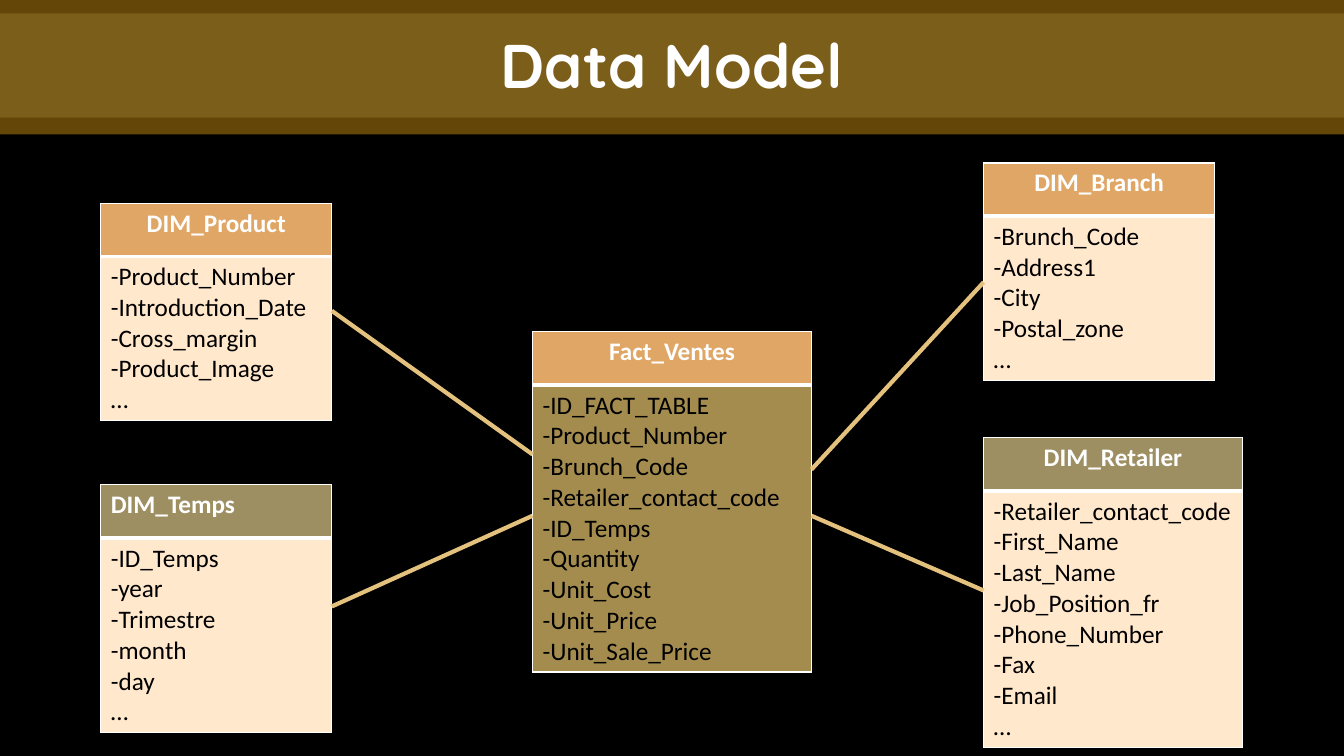
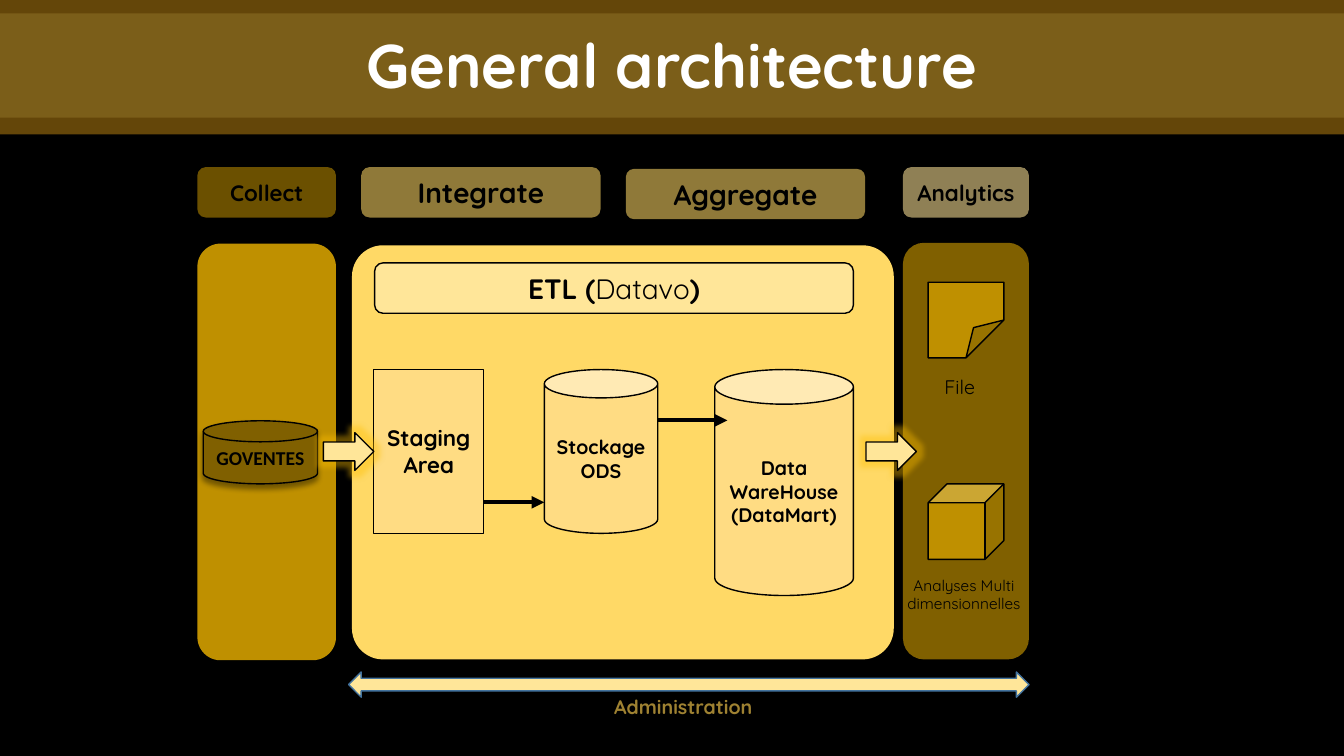
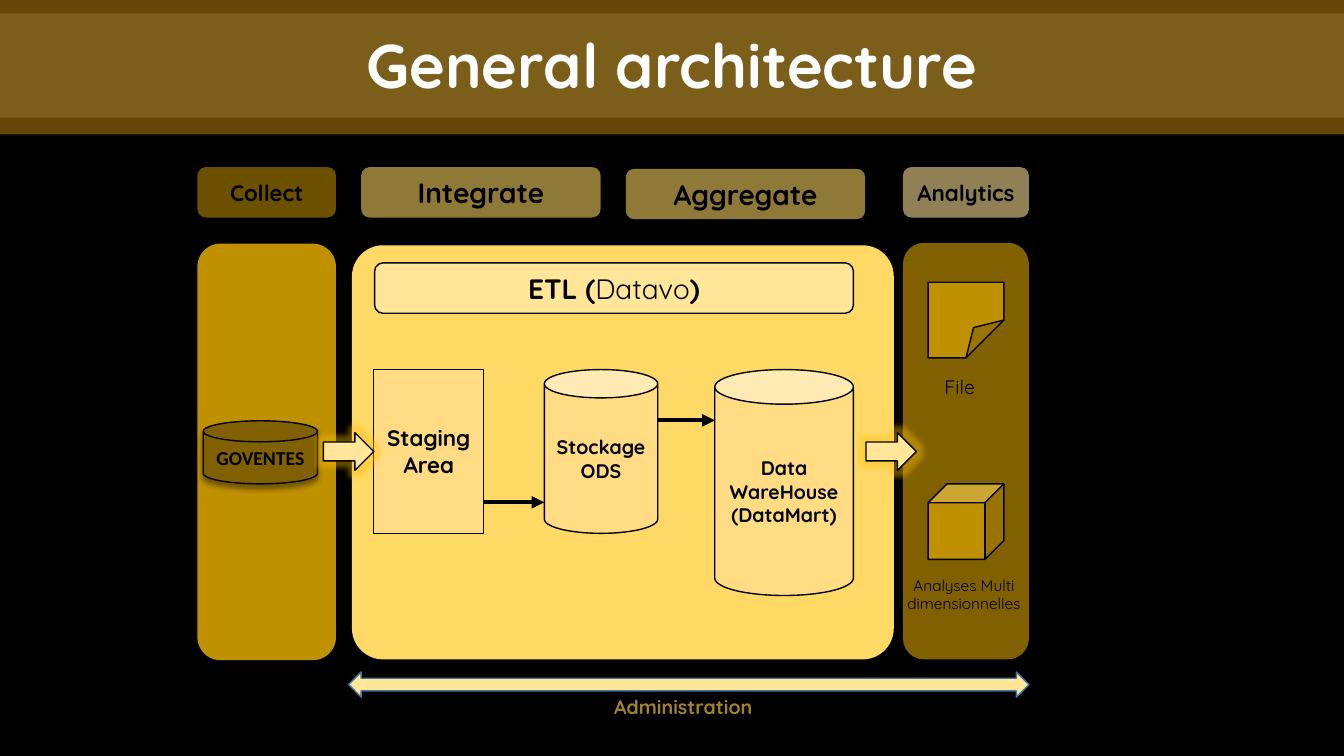
import pptx
import pptx.dml.color
import pptx.enum.shapes
import pptx.enum.text
import pptx.oxml.ns
import pptx.util
import lxml.etree

SHAPE = pptx.enum.shapes.MSO_SHAPE
STRAIGHT = pptx.enum.shapes.MSO_CONNECTOR.STRAIGHT
ALIGN = pptx.enum.text.PP_ALIGN
ANCHOR = pptx.enum.text.MSO_ANCHOR
color_of = pptx.dml.color.RGBColor.from_string
qn = pptx.oxml.ns.qn
SubElement = lxml.etree.SubElement
Pt = pptx.util.Pt


class Theme:
    heading_font, table_font = "Quicksand", "Calibri"
    title, large, table, medium, normal, small = 44, 20, 18, 16, 14, 11
    black, white = "000000", "FFFFFF"
    amber, olive = "FAB117", "9F8232"
    orange, khaki, cream, bronze, link = "DFA666", "9E8F63", "FFE8CC", "A48C4E", "E4C27E"
    gold, yellow, brown, pale, sand = "BF9000", "FFD966", "806000", "FFE699", "FFDC83"
    glow, blue = "FFC000", "43739E"
    thin, thick = 1, 3


# Deck on a grid of 160 columns by 90 rows
deck = pptx.Presentation()
deck.slide_width = pptx.util.Inches(13.33)
deck.slide_height = pptx.util.Inches(7.5)
COLUMN = deck.slide_width / 160
ROW = deck.slide_height / 90


def write(frame, text, size, color=Theme.black, bold=True, font=Theme.heading_font, align=ALIGN.CENTER):
    frame.text = text
    frame.word_wrap = True
    for para in frame.paragraphs:
        para.alignment = align
        for span in para.runs:
            span.font.size = Pt(size)
            span.font.name = font
            span.font.bold = bold
            span.font.color.rgb = color_of(color)


def add_box(page, kind, place, fill, line=None, alpha=None, adjust=None):
    left, top, width, height = place
    box = page.shapes.add_shape(kind, int(left * COLUMN), int(top * ROW), int(width * COLUMN), int(height * ROW))
    box.shadow.inherit = False
    box.fill.solid()
    box.fill.fore_color.rgb = color_of(fill)
    if alpha:
        tint = box._element.spPr.find(qn("a:solidFill"))[0]
        SubElement(tint, qn("a:alpha"), val=str(alpha * 1000))
    if line:
        box.line.color.rgb = color_of(line)
        box.line.width = Pt(Theme.thin)
    else:
        box.line.fill.background()
    if adjust:
        # The folded corner has no adjustments in python-pptx, so the guide is written directly
        geometry = box._element.spPr.find(qn("a:prstGeom"))
        for guides in geometry.findall(qn("a:avLst")):
            geometry.remove(guides)
        guides = SubElement(geometry, qn("a:avLst"))
        SubElement(guides, qn("a:gd"), name="adj", fmla=f"val {round(adjust * 100000)}")
    return box


# Shared layout: black background, title place and two bands
layout = deck.slide_layouts.get_by_name("Title Only")
layout.background.fill.solid()
layout.background.fill.fore_color.rgb = color_of(Theme.black)
heading = layout.placeholders[0]
heading.left, heading.top = 0, int(2.5 * ROW)
heading.width, heading.height = deck.slide_width, int(10.1 * ROW)

pages = []
for title in ("Data Model", "General architecture", "General architecture"):
    page = deck.slides.add_slide(layout)
    write(page.shapes.title.text_frame, title, Theme.title, Theme.white)
    page.shapes.title.text_frame.vertical_anchor = ANCHOR.MIDDLE
    page.shapes.title.text_frame.auto_size = pptx.enum.text.MSO_AUTO_SIZE.NONE
    pages.append(page)

bands = [((0, 0, 160, 16), Theme.amber), ((0, 1.6, 160, 12.4), Theme.olive)]
for number, (place, fill) in enumerate(bands):
    band = add_box(pages[0], SHAPE.RECTANGLE, place, fill, alpha=40)
    band._element.nvSpPr.cNvPr.id = 20 + number
    layout.shapes._spTree.insert(2 + number, band._element)

# Data model: one table per entity (left, top, width)
entities = [
    ("DIM_Product", (12, 24.2, 27.5), Theme.orange, Theme.cream, ALIGN.CENTER,
     "-Product_Number\n-Introduction_Date\n-Cross_margin\n-Product_Image\n…"),
    ("Fact_Ventes", (63.4, 39.5, 33.2), Theme.orange, Theme.bronze, ALIGN.CENTER,
     "-ID_FACT_TABLE\n-Product_Number\n-Brunch_Code\n-Retailer_contact_code\n-ID_Temps\n"
     "-Quantity\n-Unit_Cost\n-Unit_Price\n-Unit_Sale_Price"),
    ("DIM_Temps", (12, 57.7, 27.5), Theme.khaki, Theme.cream, ALIGN.LEFT,
     "-ID_Temps\n-year\n-Trimestre\n-month\n-day\n…"),
    ("DIM_Branch", (117.1, 19.4, 27.5), Theme.orange, Theme.cream, ALIGN.CENTER,
     "-Brunch_Code\n-Address1\n-City\n-Postal_zone\n…"),
    ("DIM_Retailer", (117.1, 52.1, 30.8), Theme.khaki, Theme.cream, ALIGN.CENTER,
     "-Retailer_contact_code\n-First_Name\n-Last_Name\n-Job_Position_fr\n-Phone_Number\n-Fax\n-Email\n…"),
]
for name, (left, top, width), head_fill, body_fill, head_align, fields in entities:
    head_rows = 6.35
    body_rows = 1.2 + 3.6 * len(fields.split("\n"))
    table = pages[0].shapes.add_table(
        2, 1, int(left * COLUMN), int(top * ROW), int(width * COLUMN), int((head_rows + body_rows) * ROW)).table
    table.horz_banding = False
    table.rows[0].height = int(head_rows * ROW)
    table.rows[1].height = int(body_rows * ROW)
    head, body = table.cell(0, 0), table.cell(1, 0)
    write(head.text_frame, name, Theme.table, Theme.white, True, Theme.table_font, head_align)
    write(body.text_frame, fields, Theme.table, Theme.black, False, Theme.table_font, ALIGN.LEFT)
    for cell, fill, thick_side in ((head, head_fill, "B"), (body, body_fill, "T")):
        cell.fill.solid()
        cell.fill.fore_color.rgb = color_of(fill)
        properties = cell._tc.get_or_add_tcPr()
        for index, side in enumerate("LRTB"):
            weight = Theme.thick if side == thick_side else Theme.thin
            border = SubElement(properties, qn("a:ln" + side), w=str(int(Pt(weight))))
            SubElement(SubElement(border, qn("a:solidFill")), qn("a:srgbClr"), val=Theme.white)
            properties.insert(index, border)

# Lines: page, start, end, colour, arrowhead
lines = [
    (pages[0], (39.5, 37), (63.4, 54.1), Theme.link, False),
    (pages[0], (39.5, 72.2), (63.4, 61.4), Theme.link, False),
    (pages[0], (117.1, 33.6), (96.6, 55.9), Theme.link, False),
    (pages[0], (117.1, 70.3), (96.6, 61.4), Theme.link, False),
]

# Architecture: panels, headers and stores, then labels
panels = [
    ((23.5, 29, 16.5, 49.6), Theme.gold, None),
    ((41.9, 29.2, 64.5, 49.3), Theme.yellow, 0.075),
    ((107.5, 28.9, 15, 49.6), Theme.brown, None),
]
headers = [
    ("Collect", (23.5, 19.9, 16.5, 6), Theme.gold, Theme.medium),
    ("Integrate", (43, 19.9, 28.5, 6), Theme.yellow, Theme.large),
    ("Aggregate", (74.5, 20.1, 28.5, 6), Theme.yellow, Theme.large),
    ("Analytics", (107.5, 19.9, 15, 6), Theme.pale, Theme.medium),
]
stores = [
    ("Staging Area", SHAPE.RECTANGLE, (44.5, 44, 13.1, 19.5), Theme.medium),
    ("Stockage\nODS", SHAPE.CAN, (64.8, 44, 13.5, 19.5), Theme.normal),
    ("Data WareHouse\n(DataMart)", SHAPE.CAN, (85.1, 44, 16.5, 26.9), Theme.normal),
]
labels = [
    ("Administration", (67.1, 82.1, 28.5, 4.5), Theme.normal, Theme.olive, True),
    ("File", (107.5, 44, 13.5, 4.5), Theme.normal, Theme.black, False),
    ("Analyses Multi dimensionnelles", (106.1, 68, 17.3, 7.5), Theme.small, Theme.black, False),
]
for page, warehouse_edge in ((pages[1], 86.6), (pages[2], 85.1)):
    for place, fill, corner in panels:
        add_box(page, SHAPE.ROUNDED_RECTANGLE, place, fill, adjust=corner)
    for text, place, fill, size in headers:
        header = add_box(page, SHAPE.ROUNDED_RECTANGLE, place, fill, alpha=56)
        write(header.text_frame, text, size)

    # Source database with a soft shadow
    source = add_box(page, SHAPE.FLOWCHART_MAGNETIC_DISK, (24.2, 50.1, 13.6, 7.5), Theme.brown, Theme.black)
    write(source.text_frame, "GOVENTES", Theme.normal, font=Theme.table_font)
    shadow = SubElement(source._element.spPr.find(qn("a:effectLst")), qn("a:outerShdw"),
                        blurRad=str(int(Pt(4))), dist=str(int(Pt(3))), dir="5400000")
    SubElement(SubElement(shadow, qn("a:srgbClr"), val=Theme.black), qn("a:alpha"), val="40000")

    for text, kind, place, size in stores:
        store = add_box(page, kind, place, Theme.sand, Theme.black)
        write(store.text_frame, text, size)

    # Glowing arrows into and out of the ETL zone
    for left in (38.5, 103.1):
        arrow = add_box(page, SHAPE.RIGHT_ARROW, (left, 51.5, 6, 4.5), Theme.pale, Theme.black)
        glow = SubElement(arrow._element.spPr.find(qn("a:effectLst")), qn("a:glow"), rad=str(int(Pt(8))))
        SubElement(SubElement(glow, qn("a:srgbClr"), val=Theme.glow), qn("a:alpha"), val="40000")

    # Outputs, administration and ETL heading
    add_box(page, SHAPE.LEFT_RIGHT_ARROW, (41.5, 80, 81, 3), Theme.pale, Theme.blue)
    add_box(page, SHAPE.CUBE, (110.5, 57.6, 9, 9), Theme.gold, Theme.black)
    add_box(page, SHAPE.FOLDED_CORNER, (110.5, 33.6, 9, 9), Theme.gold, Theme.black, adjust=0.5)
    etl = add_box(page, SHAPE.ROUNDED_RECTANGLE, (44.6, 31.3, 57, 6), Theme.pale, Theme.black)
    write(etl.text_frame, "ETL (", Theme.large)
    for text, bold in (("Datavo", False), (")", True)):
        span = etl.text_frame.paragraphs[0].add_run()
        span.text = text
        span.font.size = Pt(Theme.large)
        span.font.name = Theme.heading_font
        span.font.bold = bold
        span.font.color.rgb = color_of(Theme.black)

    for text, (left, top, width, height), size, color, bold in labels:
        label = page.shapes.add_textbox(int(left * COLUMN), int(top * ROW), int(width * COLUMN), int(height * ROW))
        write(label.text_frame, text, size, color, bold)

    lines.append((page, (57.6, 59.8), (64.8, 59.8), Theme.black, True))
    lines.append((page, (78.3, 50.05), (warehouse_edge, 50.05), Theme.black, True))

# Draw every line
for page, start, end, color, arrowhead in lines:
    connector = page.shapes.add_connector(
        STRAIGHT, int(start[0] * COLUMN), int(start[1] * ROW), int(end[0] * COLUMN), int(end[1] * ROW))
    connector.line.color.rgb = color_of(color)
    connector.line.width = Pt(Theme.thick)
    if arrowhead:
        SubElement(connector.line._get_or_add_ln(), qn("a:tailEnd"), type="triangle")
    SubElement(connector._element.spPr, qn("a:effectLst"))

deck.save("out.pptx")
